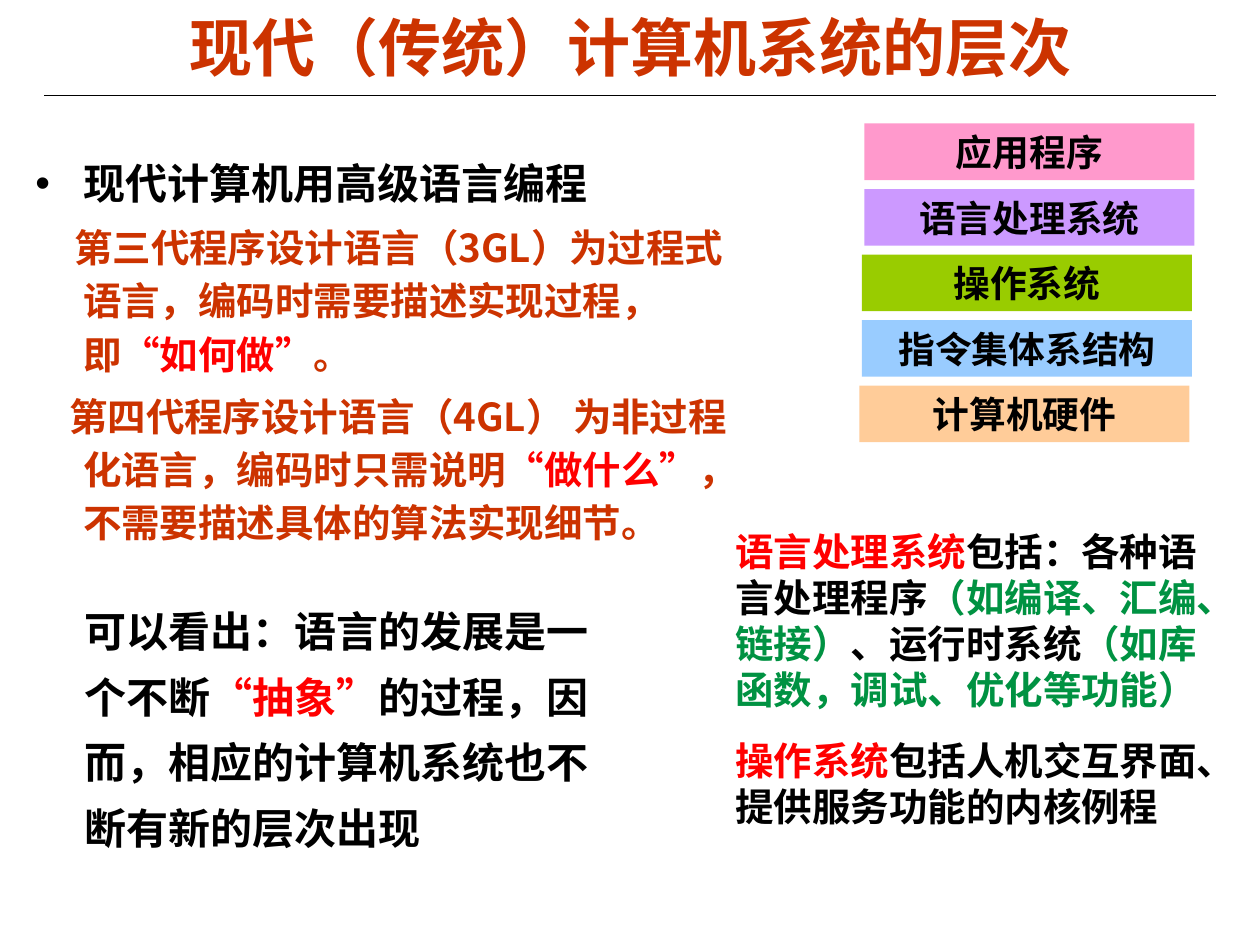
from pptx import Presentation
from pptx.dml.color import RGBColor
from pptx.enum.lang import MSO_LANGUAGE_ID as Lang
from pptx.enum.shapes import MSO_CONNECTOR as Connector, MSO_SHAPE as Preset
from pptx.enum.text import MSO_ANCHOR as Anchor, MSO_AUTO_SIZE as AutoSize, PP_ALIGN as Align
from pptx.oxml.xmlchemy import OxmlElement
from pptx.util import Inches, Pt

BLACK, RUST, RED, GREEN = "000000", "CC3300", "FF0000", "009242"
ARIAL, NOTO = "Arial", "Noto Sans CJK SC"


def rgb(value):
    """Turn a hex string into a colour."""
    return RGBColor.from_string(value)


class LayerSlide:
    """Hold the style and the current slide."""

    def __init__(self, slide):
        """Start on an empty slide."""
        self.slide = slide

    def place(self, shape, left, top, width, height):
        """Move and size a shape in inches."""
        shape.left, shape.top = Inches(left), Inches(top)
        shape.width, shape.height = Inches(width), Inches(height)

    def add_runs(self, paragraph, runs, size, font=ARIAL, before=0, spacing=1.0, align=Align.LEFT):
        """Fill a paragraph with (text, colour[, font]) runs."""
        paragraph.alignment = align
        paragraph.line_spacing = spacing
        paragraph.space_before = Pt(before)
        for text, colour, *own_font in runs:
            run = paragraph.add_run()
            run.text = text
            run.font.size = Pt(size)
            run.font.bold = True
            run.font.name = own_font[0] if own_font else font
            run.font.language_id = Lang.SIMPLIFIED_CHINESE
            run.font.color.rgb = rgb(colour)

    def indent(self, paragraph, margin, first, bullet=None):
        """Set the indents and the bullet of a paragraph."""
        properties = paragraph._p.get_or_add_pPr()
        properties.set("marL", str(Inches(margin)))
        properties.set("indent", str(Inches(first)))
        mark = OxmlElement("a:buChar" if bullet else "a:buNone")
        if bullet:
            mark.set("char", bullet)
        properties.append(mark)

    def title(self, text):
        """Fill the title placeholder."""
        heading = self.slide.shapes.title
        self.place(heading, 0.5, 0.06, 9, 0.61)
        heading.text_frame.vertical_anchor = Anchor.MIDDLE
        self.add_runs(heading.text_frame.paragraphs[0], [(text, RUST)], 36, align=Align.CENTER)

    def body(self, items):
        """Fill the body placeholder with (runs, size, first indent, bullet) items."""
        outline = self.slide.placeholders[1]
        self.place(outline, 0.18, 1.14, 5.91, 4.48)
        frame = outline.text_frame
        frame.auto_size = AutoSize.NONE
        for index, (runs, size, first, bullet) in enumerate(items):
            paragraph = frame.add_paragraph() if index else frame.paragraphs[0]
            self.indent(paragraph, 0.38, first, bullet)
            self.add_runs(paragraph, runs, size, NOTO, 5.5 if index else 0, 1.15)

    def rule(self, left, top, right):
        """Draw a thin horizontal line."""
        line = self.slide.shapes.add_connector(
            Connector.STRAIGHT, Inches(left), Inches(top), Inches(right), Inches(top))
        line.line.color.rgb = rgb(BLACK)
        line.line.width = Pt(0.75)
        line._element.spPr.append(OxmlElement("a:effectLst"))

    def layer(self, text, fill, left, top):
        """Draw one coloured system layer."""
        box = self.slide.shapes.add_shape(
            Preset.RECTANGLE, Inches(left), Inches(top), Inches(2.62), Inches(0.45))
        box.shadow.inherit = False
        box.fill.solid()
        box.fill.fore_color.rgb = rgb(fill)
        box.line.fill.background()
        box.text_frame.vertical_anchor = Anchor.MIDDLE
        self.add_runs(box.text_frame.paragraphs[0], [(text, BLACK)], 21, align=Align.CENTER)

    def note(self, area, paragraphs, size, spacing=1.0):
        """Add a wrapped text box."""
        box = self.slide.shapes.add_textbox(*map(Inches, area))
        frame = box.text_frame
        frame.word_wrap = True
        for index, runs in enumerate(paragraphs):
            paragraph = frame.add_paragraph() if index else frame.paragraphs[0]
            self.add_runs(paragraph, runs, size, before=13.8 if index else 0, spacing=spacing)


def main():
    """Build the slide on the layers of a computer system."""
    deck = Presentation()
    deck.slide_width, deck.slide_height = Inches(10), Inches(7.5)
    page = LayerSlide(deck.slides.add_slide(deck.slide_layouts[1]))

    page.rule(0.35, 0.76, 9.65)
    page.title("现代（传统）计算机系统的层次")
    page.body([
        ([("现代计算机用高级语言编程", BLACK)], 24, -0.38, "•"),
        ([("第三代程序设计语言（3GL）为过程式语言，编码时需要描述实现过程，即", RUST),
          ("“如何做”", RED), ("。", RUST)], 22, -0.07, None),
        ([("第四代程序设计语言（4GL） 为非过程化语言，编码时只需说明", RUST),
          ("“做什么”", RED), ("，不需要描述具体的算法实现细节。", RUST)], 22, -0.11, None),
    ])

    layers = [("应用程序", "FF99CC"), ("语言处理系统", "CC99FF"), ("操作系统", "99CC00"),
              ("指令集体系结构", "99CCFF"), ("计算机硬件", "FFCC99")]
    for level, (name, fill) in enumerate(layers):
        page.layer(name, fill, 6.86 - 0.02 * (level // 2), 0.98 + 0.52 * level)

    page.note((0.57, 4.64, 4.33, 2.18), [
        [("可以看出：语言的发展是一个不断", BLACK), ("“", RED, NOTO), ("抽象", RED),
         ("”", RED, NOTO), ("的过程，因而，相应的计算机系统也不断有新的层次出现", BLACK)],
    ], 24, 1.3)
    page.note((5.74, 4.14, 4.04, 2.49), [
        [("语言处理系统", RED), ("包括：各种语言处理程序", BLACK),
         ("（如编译、汇编、链接）", GREEN), ("、运行时系统", BLACK),
         ("（如库函数，调试、优化等功能）", GREEN)],
        [("操作系统", RED), ("包括人机交互界面、提供服务功能的内核例程", BLACK)],
    ], 22)

    deck.save("out.pptx")


if __name__ == "__main__":
    main()
